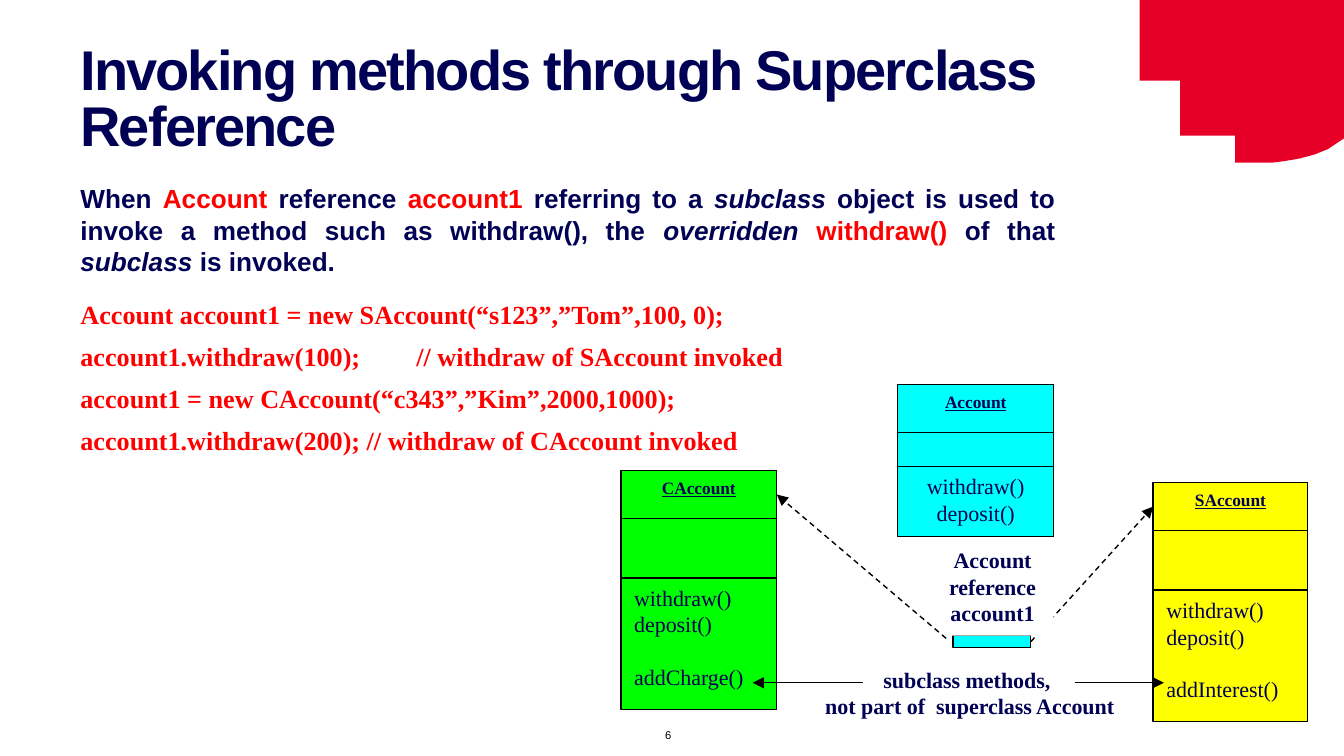
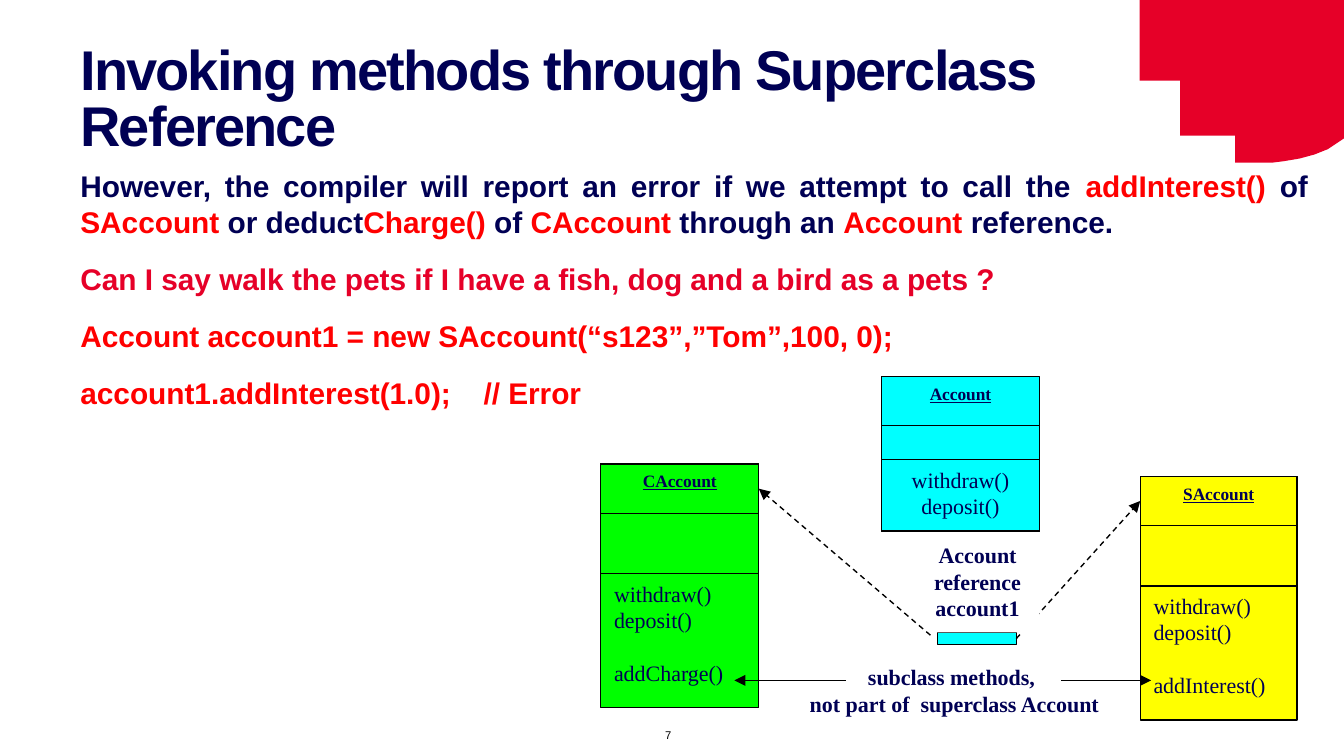
from dataclasses import dataclass

from lxml.etree import SubElement
from pptx import Presentation
from pptx.dml.color import RGBColor
from pptx.enum.dml import MSO_LINE_DASH_STYLE as DASH
from pptx.enum.shapes import MSO_CONNECTOR as CONNECTOR, MSO_SHAPE as SHAPE
from pptx.enum.text import MSO_ANCHOR as ANCHOR, PP_ALIGN as ALIGN
from pptx.oxml.ns import qn
from pptx.util import Inches, Pt


@dataclass(frozen=True)
class Theme:
    navy: str = "000054"
    red: str = "FF0000"
    crimson: str = "E60028"
    black: str = "000000"
    white: str = "FFFFFF"
    cyan: str = "00FFFF"
    yellow: str = "FFFF00"
    green: str = "00FF00"
    sans: str = "Arial"
    serif: str = "Times New Roman"
    title_size: float = 30
    page_size: float = 6
    class_size: float = 9.3
    diagram_size: float = 11.8


theme = Theme()
NAVY, RED = theme.navy, theme.red


def write_text(shape, paragraphs, font, size, align=ALIGN.LEFT, bold=False, underline=False):
    """Fill a shape; each paragraph is (space before, runs), each run (text, colour, italic)."""
    frame = shape.text_frame
    frame.word_wrap = True
    frame.vertical_anchor = ANCHOR.TOP
    for index, (space_before, runs) in enumerate(paragraphs):
        paragraph = frame.add_paragraph() if index else frame.paragraphs[0]
        paragraph.alignment = align
        paragraph.space_before = Pt(space_before)
        paragraph.font.size = Pt(size)
        for text, colour, italic in runs:
            run = paragraph.add_run()
            run.text = text
            run.font.name = font
            run.font.size = Pt(size)
            run.font.bold = bold
            run.font.italic = italic
            run.font.underline = underline
            run.font.color.rgb = RGBColor.from_string(colour)
            if "\t" in text:
                tab_list = SubElement(paragraph._p.get_or_add_pPr(), qn("a:tabLst"))
                for stop in (2.5, 3):
                    SubElement(tab_list, qn("a:tab"), pos=str(Inches(stop)), algn="l")


def add_box(shapes, left, top, width, height, fill, outlined=True):
    box = shapes.add_shape(SHAPE.RECTANGLE, Inches(left), Inches(top), Inches(width), Inches(height))
    box.shadow.inherit = False
    box.fill.solid()
    box.fill.fore_color.rgb = RGBColor.from_string(fill)
    if outlined:
        box.line.color.rgb = RGBColor.from_string(theme.black)
        box.line.width = Pt(0.75)
    else:
        box.line.fill.background()
    return box


TITLE = "Invoking methods through Superclass Reference"
CORNER = [(8.48, 0), (10, 0), (10, 1.03), (9.88, 1.11), (9.78, 1.15), (9.67, 1.18), (9.55, 1.2),
          (9.47, 1.21), (9.19, 1.21), (9.19, 1.01), (8.78, 1.01), (8.78, 0.6), (8.48, 0.6)]

# Page number, text box, text size, (font, space before, runs) per paragraph, diagram frame
PAGES = [
    ("6", (0.5, 1.31, 7.45, 2.15), 14, [
        (theme.sans, 11.4, [
            ("When ", NAVY, False), ("Account", RED, False), (" reference ", NAVY, False),
            ("account1 ", RED, False), ("referring to a ", NAVY, False), ("subclass", NAVY, True),
            (" object is used to invoke a method such as withdraw(), the ", NAVY, False),
            ("overridden ", NAVY, True), ("withdraw()", RED, False), (" of that ", NAVY, False),
            ("subclass", NAVY, True), (" is invoked.", NAVY, False)]),
        (theme.serif, 11.4, [("Account account1 = new SAccount(“s123”,”Tom”,100, 0);", RED, False)]),
        (theme.serif, 5.7, [("account1.withdraw(100);\t// withdraw of SAccount invoked", RED, False)]),
        (theme.serif, 5.7, [("account1 = new CAccount(“c343”,”Kim”,2000,1000);", RED, False)]),
        (theme.serif, 5.7, [("account1.withdraw(200); // withdraw of CAccount invoked", RED, False)]),
    ], (4.62, 2.86, 5.11, 2.59)),
    ("7", (0.5, 1.2, 9.33, 1.91), 16, [
        (theme.sans, 11.4, [
            ("However, the compiler will report an error if we attempt to call the ", NAVY, False),
            ("addInterest()", RED, False), (" of ", NAVY, False), ("SAccount", RED, False),
            (" or deduct", NAVY, False), ("Charge()", RED, False), (" of ", NAVY, False),
            ("CAccount", RED, False), (" through an ", NAVY, False), ("Account ", RED, False),
            ("reference.\t", NAVY, False)]),
        (theme.sans, 11.4, [("Can I say walk the pets if I have a fish, dog and a bird as a pets ?",
                             theme.crimson, False)]),
        (theme.sans, 11.4, [("Account account1 = new SAccount(“s123”,”Tom”,100, 0);", RED, False)]),
        (theme.sans, 11.4, [("account1.addInterest(1.0);\t// Error", RED, False)]),
    ], (4.47, 2.8, 5.18, 2.64)),
]

# Name, fill, left, top, width, body offset and height, methods offset and height, methods, alignment
CLASSES = [
    ("SAccount", theme.yellow, 8.58, 3.59, 1.15, (0, 1.34), (0.8, 0.98),
     ["withdraw()", "deposit()", "", "addInterest()"], ALIGN.LEFT),
    ("Account", theme.cyan, 6.68, 2.86, 1.16, (0.1, 1.03), (0.61, 0.52),
     ["withdraw()", "deposit()"], ALIGN.CENTER),
    ("CAccount", theme.green, 4.62, 3.5, 1.16, (0, 1.34), (0.8, 0.98),
     ["withdraw()", "deposit()", "", "addCharge()"], ALIGN.LEFT),
]
HEADER_HEIGHT = 0.36

CAPTIONS = [
    ((6.02, 4.91, 2.39, 0.54), ["subclass methods, ", "not part of  superclass Account"]),
    ((6.93, 4.02, 0.91, 0.71), ["Account reference account1"]),
]

# Start, end, dashed, joined start (name, side), joined end (name, side)
ARROWS = [
    ((7.67, 4.77), (8.58, 3.8), True, ("reference", 3), ("SAccount", 1)),
    ((7.04, 4.75), (5.8, 3.69), True, None, ("CAccount", 3)),
    ((6.42, 5.08), (5.6, 5.08), False, None, None),
    ((8, 5.08), (8.66, 5.08), False, None, None),
]

presentation = Presentation()
presentation.slide_width = Inches(10)
presentation.slide_height = presentation.slide_width * 9 // 16

for number, text_place, text_size, paragraphs, diagram_frame in PAGES:
    slide = presentation.slides.add_slide(presentation.slide_layouts[6])

    builder = slide.shapes.build_freeform(Inches(CORNER[0][0]), Inches(CORNER[0][1]))
    builder.add_line_segments([(Inches(x), Inches(y)) for x, y in CORNER[1:]], close=True)
    corner = builder.convert_to_shape()
    corner.shadow.inherit = False
    corner.fill.solid()
    corner.fill.fore_color.rgb = RGBColor.from_string(theme.crimson)
    corner.line.fill.background()

    page_number = slide.shapes.add_textbox(Inches(4.85), Inches(5.37), Inches(0.3), Inches(0.2))
    write_text(page_number, [(0, [(number, theme.black, False)])], theme.sans, theme.page_size)

    title = slide.shapes.add_textbox(Inches(0.5), Inches(0.29), Inches(8.24), Inches(1.43))
    write_text(title, [(0, [(TITLE, NAVY, False)])], theme.sans, theme.title_size, bold=True)
    title_paragraph = title.text_frame.paragraphs[0]
    title_paragraph.line_spacing = Pt(theme.title_size)
    title_paragraph.runs[0].font._element.set("spc", "-100")

    body = slide.shapes.add_textbox(*map(Inches, text_place))
    write_text(body, [(space, runs) for _, space, runs in paragraphs], theme.sans, text_size,
               ALIGN.JUSTIFY, bold=True)
    for paragraph, (font, _, _) in zip(body.text_frame.paragraphs, paragraphs):
        for run in paragraph.runs:
            run.font.name = font

    diagram = slide.shapes.add_group_shape()
    shapes = diagram.shapes
    joints = {"reference": add_box(shapes, 7.09, 4.73, 0.58, 0.09, theme.cyan)}

    for name, fill, left, top, width, outline, operations, methods, align in CLASSES:
        add_box(shapes, left, top + outline[0], width, outline[1], fill)
        header = add_box(shapes, left, top, width, HEADER_HEIGHT, fill)
        write_text(header, [(0, [(name, NAVY, False)])], theme.serif, theme.class_size,
                   ALIGN.CENTER, bold=True, underline=True)
        joints[name] = header
        section = add_box(shapes, left, top + operations[0], width, operations[1], fill)
        write_text(section, [(0, [(method, NAVY, False)] if method else []) for method in methods],
                   theme.serif, theme.diagram_size, align)

    # The captions lie over the dashed arrow that leaves the reference on the right
    for arrow_index, (start, end, dashed, start_joint, end_joint) in enumerate(ARROWS):
        arrow = shapes.add_connector(CONNECTOR.STRAIGHT, *map(Inches, start + end))
        if start_joint:
            arrow.begin_connect(joints[start_joint[0]], start_joint[1])
        if end_joint:
            arrow.end_connect(joints[end_joint[0]], end_joint[1])
        arrow.line.color.rgb = RGBColor.from_string(theme.black)
        arrow.line.width = Pt(0.75)
        if dashed:
            arrow.line.dash_style = DASH.DASH
        SubElement(arrow.line._get_or_add_ln(), qn("a:tailEnd"), type="triangle")
        SubElement(arrow._element.spPr, qn("a:effectLst"))
        if arrow_index == 0:
            for place, lines in CAPTIONS:
                caption = add_box(shapes, *place, theme.white, outlined=False)
                write_text(caption, [(0, [(line, NAVY, False)]) for line in lines],
                           theme.serif, theme.diagram_size, ALIGN.CENTER, bold=True)

    diagram.left, diagram.top, diagram.width, diagram.height = map(Inches, diagram_frame)

presentation.save("out.pptx")
